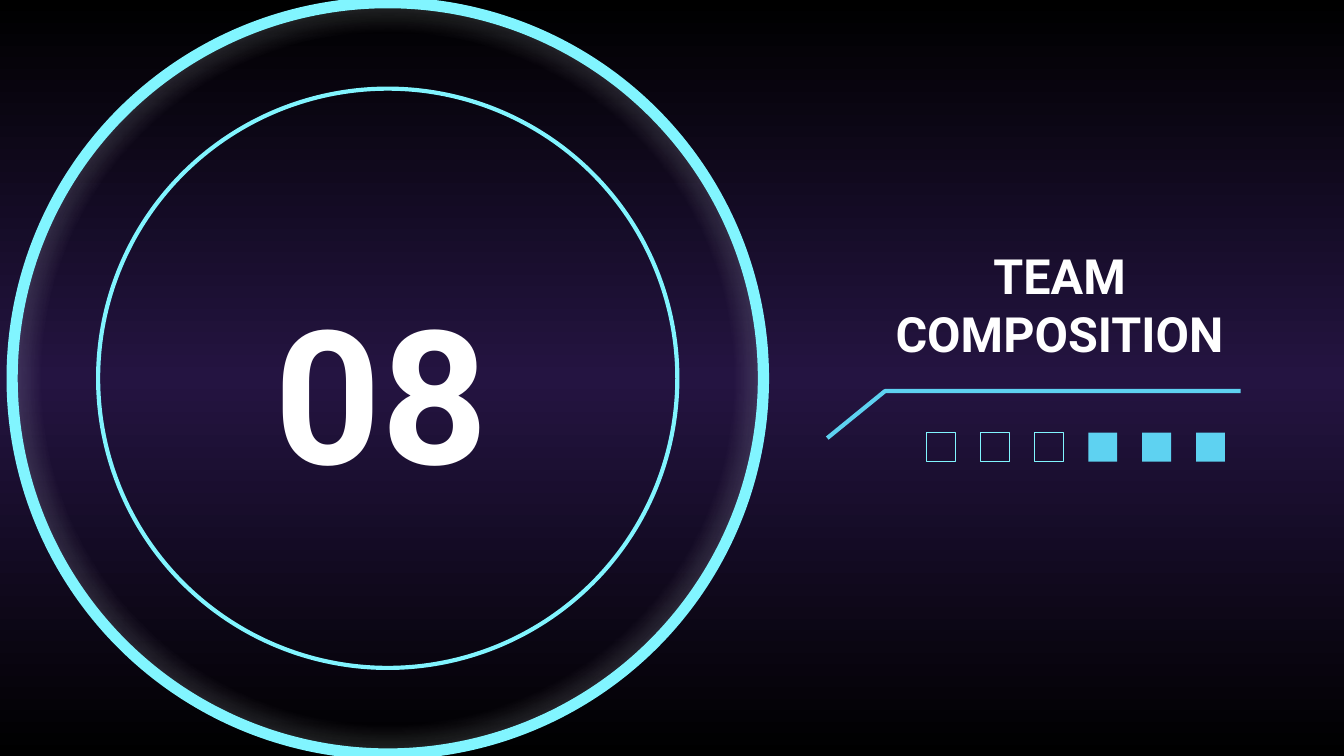
"""Build a section slide with a ringed number and a decorated title."""
from pptx import Presentation
from pptx.dml.color import RGBColor
from pptx.enum.shapes import MSO_SHAPE
from pptx.enum.text import MSO_ANCHOR, MSO_AUTO_SIZE, PP_ALIGN
from pptx.oxml import parse_xml
from pptx.oxml.ns import nsdecls, qn
from pptx.util import Pt

PX = 4572
FONT = "Roboto"
WHITE, BLACK, PURPLE = "FFFFFF", "000000", "241441"
CYAN, BLUE = "81F5FF", "5ED2F1"
VERTICAL = '<a:lin ang="5400000" scaled="0"/>'
RADIAL = ('<a:path path="circle"><a:fillToRect l="50000" t="50000" '
          'r="50000" b="50000"/></a:path>')


def px(*lengths):
    """Turn px lengths into EMU."""
    return [round(length * PX) for length in lengths]


def color(value):
    """Turn a hex string into a colour."""
    return RGBColor.from_string(value)


def set_gradient(holder, stops, direction):
    """Swap the solid fill of an element for a gradient of (percent, colour, opacity) stops."""
    stop_xml = "".join(
        f'<a:gs pos="{position * 1000}"><a:srgbClr val="{value}">'
        f'<a:alpha val="{opacity * 1000}"/></a:srgbClr></a:gs>'
        for position, value, opacity in stops)
    gradient = parse_xml(f'<a:gradFill {nsdecls("a")} rotWithShape="1">'
                         f'<a:gsLst>{stop_xml}</a:gsLst>{direction}</a:gradFill>')
    holder.replace(holder.find(qn("a:solidFill")), gradient)


def style_shape(shape, fill=None, line=None, width=0.75):
    """Set fill and outline, leaving out whichever has no colour."""
    shape.shadow.inherit = False
    if fill:
        shape.fill.solid()
        shape.fill.fore_color.rgb = color(fill)
    else:
        shape.fill.background()
    if line:
        shape.line.color.rgb = color(line)
        shape.line.width = Pt(width)
    else:
        shape.line.fill.background()


def paint_background(slide):
    """Fade the slide from black to purple and back."""
    slide.background.fill.solid()
    holder = slide.element.find(".//" + qn("p:bgPr"))
    set_gradient(holder, [(0, BLACK, 100), (50, PURPLE, 100), (100, BLACK, 100)], VERTICAL)


def add_rings(slide, left, top, size, inset):
    """Draw a glowing outer ring and a thin ring inside it."""
    outer = slide.shapes.add_shape(MSO_SHAPE.OVAL, *px(left, top, size, size))
    style_shape(outer, fill=WHITE, line=CYAN, width=6)
    set_gradient(outer.element.spPr, [(0, WHITE, 0), (65, WHITE, 0), (100, BLUE, 100)], RADIAL)
    inner_size = size - 2 * inset
    inner = slide.shapes.add_shape(
        MSO_SHAPE.OVAL, *px(left + inset, top + inset, inner_size, inner_size))
    style_shape(inner, line=CYAN, width=2.25)


def write_placeholder(shape, box, text, size, anchor):
    """Move a placeholder to the front, fit it to a box and write bold centred text."""
    shape.element.getparent().append(shape.element)
    shape.left, shape.top, shape.width, shape.height = px(*box)
    frame = shape.text_frame
    frame.word_wrap = True
    frame.auto_size = MSO_AUTO_SIZE.NONE
    frame.vertical_anchor = anchor
    frame.margin_left = frame.margin_right = frame.margin_top = frame.margin_bottom = 20 * PX
    paragraph = frame.paragraphs[0]
    paragraph.alignment = PP_ALIGN.CENTER
    paragraph.space_before = Pt(0)
    run = paragraph.add_run()
    run.text = text
    run.font.name = FONT
    run.font.size = Pt(size)
    run.font.bold = True
    run.font.color.rgb = color(WHITE)
    return paragraph


def add_underline(slide, left, top, width, height, slant):
    """Draw a level line whose left end slants down."""
    builder = slide.shapes.build_freeform(*px(left, top + height))
    builder.add_line_segments([px(left + slant, top), px(left + width, top)], close=False)
    style_shape(builder.convert_to_shape(), line=BLUE, width=2.25)


def add_squares(slide, left, top, width, size, count):
    """Spread squares evenly, the first half outlined and the rest filled."""
    group = slide.shapes.add_group_shape()
    step = (width - size) / (count - 1)
    for index in range(count):
        square = group.shapes.add_shape(
            MSO_SHAPE.RECTANGLE, *px(left + index * step, top, size, size))
        if index < count // 2:
            style_shape(square, line=CYAN)
        else:
            style_shape(square, fill=BLUE)


def main():
    """Build and save the slide."""
    presentation = Presentation()
    presentation.slide_width, presentation.slide_height = px(2000, 1125)
    slide = presentation.slides.add_slide(presentation.slide_layouts[0])
    title, number = slide.placeholders
    paint_background(slide)
    add_rings(slide, 18, 4, 1118, 128)
    write_placeholder(title, (1231, 380, 692, 144), "TEAM COMPOSITION", 26, MSO_ANCHOR.MIDDLE)
    paragraph = write_placeholder(number, (268, 344, 600, 274), "08", 100, MSO_ANCHOR.TOP)
    paragraph.line_spacing = 1.15
    paragraph.space_after = Pt(16)
    add_underline(slide, 1231, 582, 615, 70, 86)
    add_squares(slide, 1379, 644, 444, 43, 6)
    presentation.save("out.pptx")


if __name__ == "__main__":
    main()
